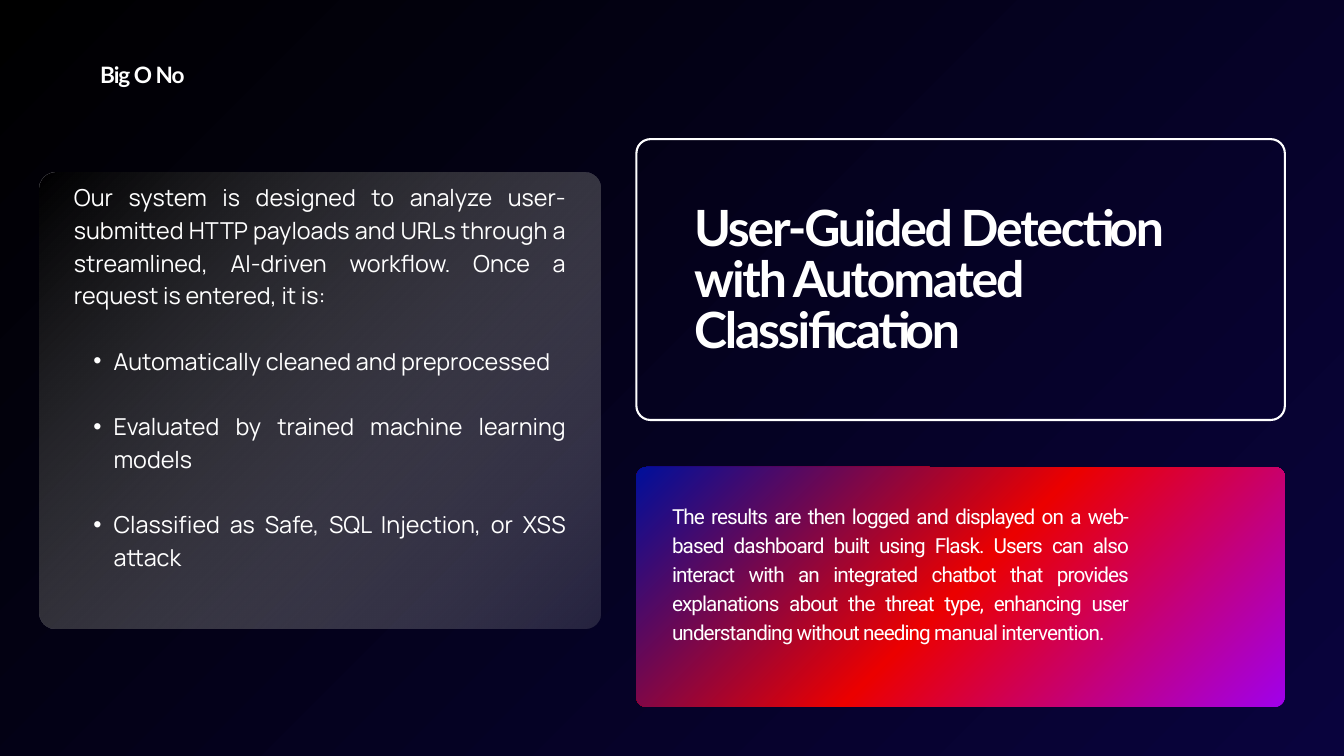
from lxml import etree
from pptx import Presentation
from pptx.dml.color import RGBColor
from pptx.enum.shapes import MSO_SHAPE
from pptx.enum.text import MSO_ANCHOR, MSO_AUTO_SIZE, PP_ALIGN
from pptx.oxml.ns import qn
from pptx.util import Inches, Pt

COLORS = {
    "white": "FFFFFF", "black": "000000", "navy": "09033D", "mist": "DDDDDD",
    "blue": "000F9B", "red": "EB0000", "purple": "A000EB",
}


def set_gradient(fill, owner, stops, angle=None):
    """Fill with (position %, color, opacity %) stops: linear at angle, else from the top left corner."""
    fill.gradient()
    gradient = owner.find(".//" + qn("a:gradFill"))
    for child in list(gradient):
        gradient.remove(child)
    stop_list = etree.SubElement(gradient, qn("a:gsLst"))
    for position, color, opacity in stops:
        stop = etree.SubElement(stop_list, qn("a:gs"), pos=str(position * 1000))
        tone = etree.SubElement(stop, qn("a:srgbClr"), val=COLORS[color])
        if opacity < 100:
            etree.SubElement(tone, qn("a:alpha"), val=str(opacity * 1000))
    if angle is not None:
        etree.SubElement(gradient, qn("a:lin"), ang=str(angle * 60000), scaled="0")
    else:
        path = etree.SubElement(gradient, qn("a:path"), path="circle")
        etree.SubElement(path, qn("a:fillToRect"), r="100000", b="100000")
        etree.SubElement(gradient, qn("a:tileRect"), l="-100000", t="-100000")


def write(box, text, *, font, size, leading, place=None, tracking=0, bold=False,
          align=PP_ALIGN.LEFT, bullet=False, gap=0):
    """Place the box when place is given, otherwise add a paragraph to it."""
    frame = box.text_frame
    if place:
        box.left, box.top, box.width, box.height = map(Inches, place)
        frame.margin_left = frame.margin_top = frame.margin_right = frame.margin_bottom = 0
        frame.word_wrap = True
        frame.auto_size = MSO_AUTO_SIZE.SHAPE_TO_FIT_TEXT
        frame.vertical_anchor = MSO_ANCHOR.TOP
        paragraph = frame.paragraphs[0]
    else:
        paragraph = frame.add_paragraph()
    paragraph.alignment = align
    paragraph.line_spacing = Pt(leading)
    paragraph.space_before = Pt(gap)
    if bullet:
        properties = paragraph._p.get_or_add_pPr()
        properties.set("marL", str(Inches(0.59)))
        properties.set("indent", str(Inches(-0.3)))
        etree.SubElement(properties, qn("a:buFont"), typeface="Arial")
        etree.SubElement(properties, qn("a:buChar"), char="•")
    run = paragraph.add_run()
    run.text = text
    run.font.name = font
    run.font.size = Pt(size)
    run.font.bold = bold
    run.font.color.rgb = RGBColor.from_string(COLORS["white"])
    if tracking:
        run._r.get_or_add_rPr().set("spc", str(round(tracking * 100)))


prs = Presentation()
prs.slide_width, prs.slide_height = Inches(20), Inches(11.25)
slide = prs.slides.add_slide(prs.slide_layouts[5])
set_gradient(slide.background.fill, slide._element,
             [(0, "black", 100), (100, "navy", 100)])

cards = []
for left, top, width, height, radius in [
    (0.59, 2.57, 8.34, 6.78, 0.24),
    (9.47, 6.95, 9.65, 3.57, 0.15),
    (9.47, 2.07, 9.65, 4.18, 0.21),
]:
    card = slide.shapes.add_shape(MSO_SHAPE.ROUNDED_RECTANGLE, Inches(left), Inches(top),
                                  Inches(width), Inches(height))
    card.adjustments[0] = radius / min(width, height)
    card.shadow.inherit = False
    card.line.fill.background()
    cards.append(card)
workflow_card, results_card, title_card = cards

set_gradient(workflow_card.fill, workflow_card._element,
             [(0, "black", 78), (100, "mist", 15)], angle=45)
set_gradient(results_card.fill, results_card._element,
             [(0, "blue", 100), (50, "red", 100), (100, "purple", 100)])
title_card.fill.background()
title_card.line.color.rgb = RGBColor.from_string(COLORS["white"])
title_card.line.width = Pt(2.25)

write(slide.shapes.title, "User-Guided Detection with Automated Classification",
      place=(10.33, 3.06, 8.38, 2.36), font="Lato", size=53.5, leading=54.5,
      tracking=-2.4, bold=True)

team, workflow, results = [slide.shapes.add_textbox(0, 0, 0, 0) for _ in range(3)]
write(team, "Big O No", place=(1.49, 0.84, 2.94, 0.49), font="Lato", size=24.2,
      leading=33.9, tracking=-1.1, bold=True)

workflow_style = dict(font="Manrope", size=25, leading=35, align=PP_ALIGN.JUSTIFY)
write(workflow, "Our system is designed to analyze user-submitted HTTP payloads and URLs "
      "through a streamlined, AI-driven workflow. Once a request is entered, it is:",
      place=(1.1, 2.66, 7.32, 6.71), **workflow_style)
for step in [
    "Automatically cleaned and preprocessed",
    "Evaluated by trained machine learning models",
    "Classified as Safe, SQL Injection, or XSS attack",
]:
    write(workflow, step, bullet=True, gap=35, **workflow_style)

write(results, "The results are then logged and displayed on a web-based dashboard built "
      "using Flask. Users can also interact with an integrated chatbot that provides "
      "explanations about the threat type, enhancing user understanding without needing "
      "manual intervention.",
      place=(10, 7.44, 6.79, 2.55), font="Roboto", size=22.2, leading=31.1,
      tracking=-1, align=PP_ALIGN.JUSTIFY)

prs.save("out.pptx")
